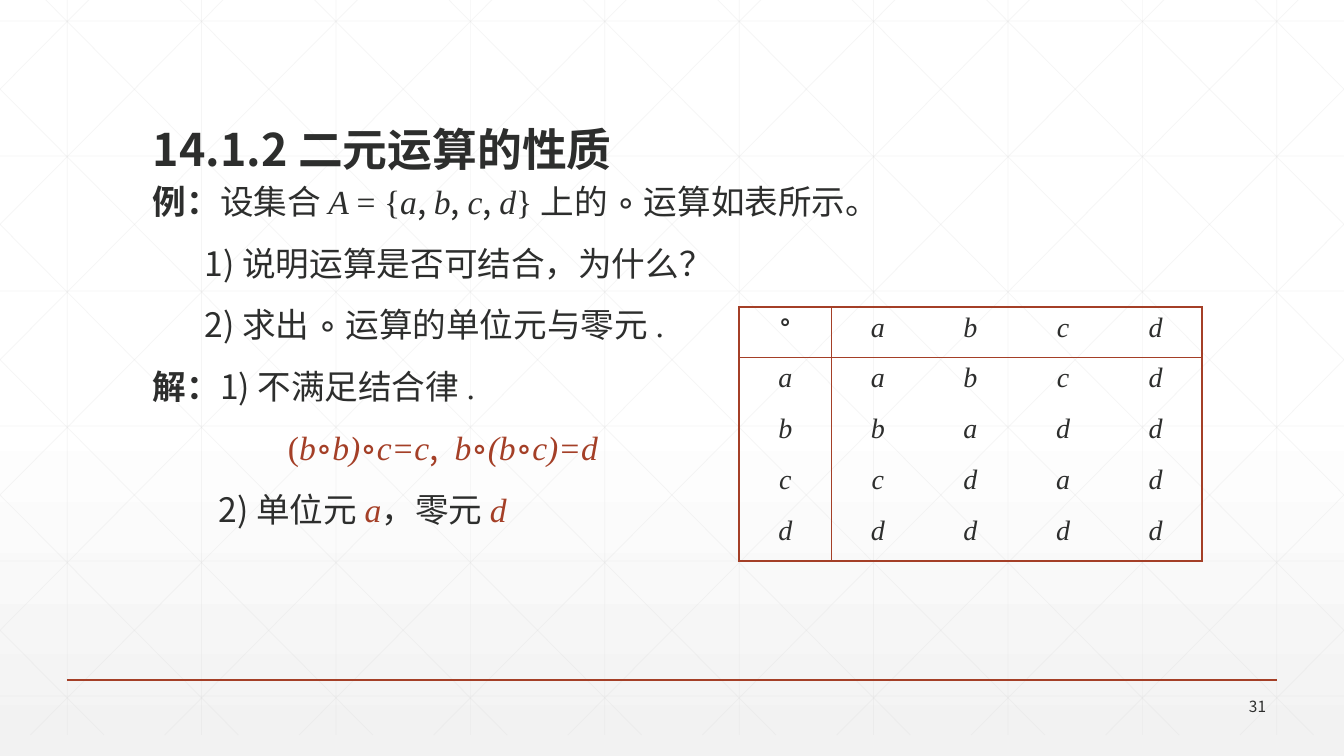
from lxml import etree
from pptx import Presentation
from pptx import util as u
from pptx.dml.color import RGBColor
from pptx.enum import shapes, text
from pptx.oxml import ns

# Content: each line is (indent px, spans); each span is (wording, style)
# Style letters: b bold, i italic, r red, s sans serif
TITLE = "14.1.2 二元运算的性质"
PAGE_NUMBER = "31"
LINES = [
    (0, [("例：", "b"), ("设集合 ", ""), ("A ", "i"), ("= {", ""),
         ("a", "i"), (", ", "s"), ("b", "i"), (", ", "s"), ("c", "i"),
         (", ", "s"), ("d", "i"), ("} 上的 ∘ 运算如表所示。", "")]),
    (52, [("1) ", "s"), ("说明运算是否可结合，为什么？", "")]),
    (52, [("2) ", "s"), ("求出 ∘ 运算的单位元与零元 .", "")]),
    (0, [("解：", "b"), ("1) ", "s"), ("不满足结合律 .", "")]),
    (135, [("(", "r"), ("b", "ir"), ("∘", "r"), ("b)", "ir"), ("∘", "r"),
           ("c=c", "ir"), (", ", "sr"), (" b", "ir"), ("∘", "r"),
           ("(b", "ir"), ("∘", "r"), ("c)=d", "ir")]),
    (66, [("2) ", "s"), ("单位元 ", ""), ("a", "ir"), ("，零元 ", ""),
          ("d", "ir")]),
]
OPERATION = ["∘abcd", "aabcd", "bbadd", "ccdad", "ddddd"]

SANS, SERIF = "Noto Sans CJK SC", "Times New Roman"
INK = RGBColor(0x2D, 0x2E, 0x2D)
RED = RGBColor(0xA4, 0x3F, 0x27)
GRID = RGBColor(0xD9, 0xD9, 0xD9)
WHITE = RGBColor(0xFF, 0xFF, 0xFF)
PALE = RGBColor(0xF2, 0xF2, 0xF2)

WIDTH, HEIGHT = 1344, 756
SCALE = u.Inches(1) / 100.8


def px(length):
    return u.Emu(round(length * SCALE))


def add_line(page, start, end, colour, points, opacity=None):
    line = page.shapes.add_connector(
        shapes.MSO_CONNECTOR.STRAIGHT, *map(px, start + end))
    line.line.color.rgb = colour
    line.line.width = u.Pt(points)
    properties = line._element.spPr
    etree.SubElement(properties, ns.qn("a:effectLst"))
    if opacity:
        value = properties.find(".//" + ns.qn("a:srgbClr"))
        etree.SubElement(value, ns.qn("a:alpha"), val=str(opacity * 1000))


def add_box(page, left, top, width, height, anchor):
    box = page.shapes.add_textbox(*map(px, (left, top, width, height)))
    box.text_frame.word_wrap = True
    box.text_frame.vertical_anchor = anchor
    return box.text_frame


def add_span(para, wording, size, style=""):
    span = para.add_run()
    span.text = wording
    font = span.font
    font.size = u.Pt(size)
    font.name = SANS if "s" in style else SERIF
    font.bold = "b" in style
    font.italic = "i" in style
    font.color.rgb = RED if "r" in style else INK
    latin = span._r.rPr.find(ns.qn("a:latin"))
    latin.addnext(etree.Element(ns.qn("a:ea"), typeface=SANS))


def set_border(cell, side, visible):
    properties = cell._tc.get_or_add_tcPr()
    border = etree.SubElement(properties, ns.qn("a:ln" + side), w=str(u.Pt(1)))
    if visible:
        fill = etree.SubElement(border, ns.qn("a:solidFill"))
        etree.SubElement(fill, ns.qn("a:srgbClr"), val=str(RED))
    else:
        etree.SubElement(border, ns.qn("a:noFill"))


def add_backdrop(page):
    # Gradient from white down to pale grey
    fill = page.background.fill
    fill.gradient()
    fill.gradient_angle = 270
    for stop, colour, position in zip(fill.gradient_stops, (WHITE, PALE), (0.53, 1)):
        stop.color.rgb = colour
        stop.position = position

    # Upright and level grid lines
    top, bottom, step = -21, 735, WIDTH / 10
    grid = [((step * (i + 0.5), top), (step * (i + 0.5), bottom)) for i in range(10)]
    grid += [((0, 21 + 135 * i), (WIDTH, 21 + 135 * i)) for i in range(6)]

    # Diagonals clipped to the page sides, each with its mirror image
    run = 751
    slope = (bottom - top) / run
    for i in range(-5, 10):
        origin = 25 + step * i
        left, right = max(origin, 0), min(origin + run, WIDTH)
        start_y, end_y = (top + (x - origin) * slope for x in (left, right))
        grid.append(((left, start_y), (right, end_y)))
        grid.append(((WIDTH - left, start_y), (WIDTH - right, end_y)))
    for start, end in grid:
        add_line(page, start, end, GRID, 0.5, 25)


def add_operation_table(page):
    count = len(OPERATION)
    frame = page.shapes.add_table(count, count, *map(px, (739, 307, 463, 254)))
    table = frame.table
    table.first_row = table.horz_banding = False
    last = count - 1
    for row, symbols in enumerate(OPERATION):
        for column, symbol in enumerate(symbols):
            cell = table.cell(row, column)
            # Outer frame plus rules after the header row and column
            set_border(cell, "L", column in (0, 1))
            set_border(cell, "R", column in (0, last))
            set_border(cell, "T", row in (0, 1))
            set_border(cell, "B", row in (0, last))
            cell.fill.background()
            para = cell.text_frame.paragraphs[0]
            para.alignment = text.PP_ALIGN.CENTER
            if symbol == "∘":
                para.line_spacing = 0.8
            add_span(para, symbol, 20, "" if symbol == "∘" else "i")


def main():
    deck = Presentation()
    deck.slide_width, deck.slide_height = px(WIDTH), px(HEIGHT)
    page = deck.slides.add_slide(deck.slide_layouts[6])
    add_backdrop(page)

    # Footer rule and page number
    add_line(page, (67, 680), (1277, 680), RED, 1)
    para = add_box(page, 1175, 694, 101, 24, text.MSO_ANCHOR.MIDDLE).paragraphs[0]
    para.alignment = text.PP_ALIGN.RIGHT
    add_span(para, PAGE_NUMBER, 11, "s")

    # Example and solution
    body = add_box(page, 143, 181, 1058, 357, text.MSO_ANCHOR.TOP)
    for number, (indent, spans) in enumerate(LINES):
        para = body.add_paragraph() if number else body.paragraphs[0]
        para.line_spacing = 0.9
        if number:
            para.space_before = u.Pt(18)
        para._p.get_or_add_pPr().set("marL", str(px(indent)))
        for wording, style in spans:
            add_span(para, wording, 24, style)

    add_operation_table(page)

    # Title
    para = add_box(page, 143, 55, 1058, 126, text.MSO_ANCHOR.BOTTOM).paragraphs[0]
    para.line_spacing = 0.9
    add_span(para, TITLE, 32, "bs")
    deck.save("out.pptx")


if __name__ == "__main__":
    main()
